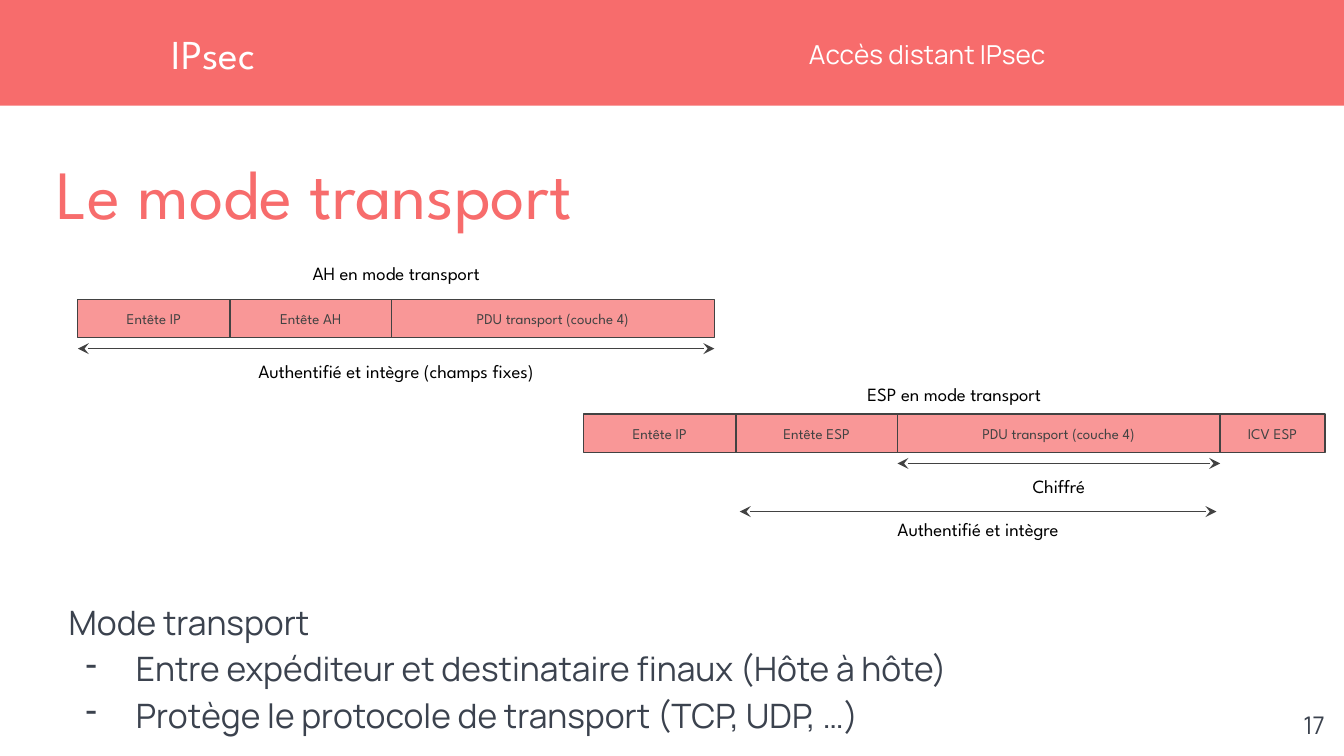
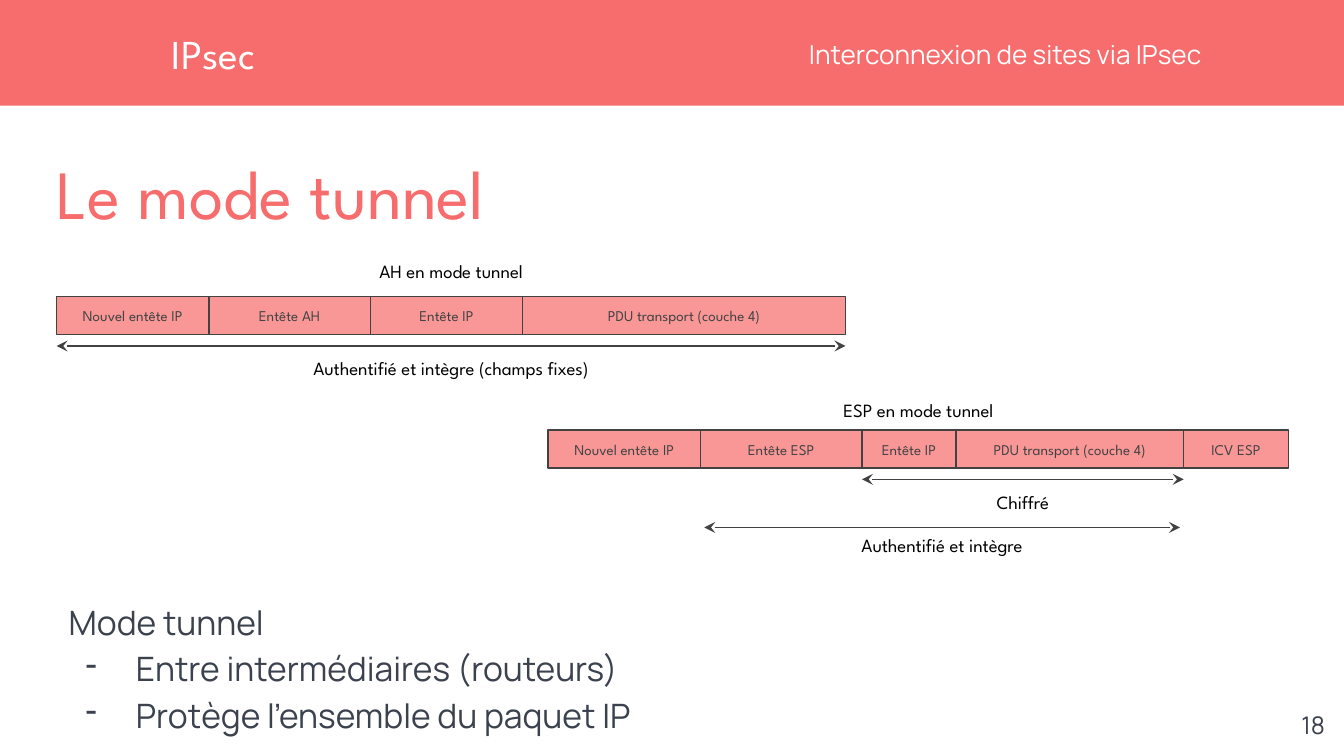
from dataclasses import dataclass
from itertools import accumulate

from lxml.etree import SubElement
from pptx import Presentation
from pptx.dml.color import RGBColor
from pptx.enum.shapes import MSO_CONNECTOR as Connector, MSO_SHAPE as Shape
from pptx.enum.text import MSO_ANCHOR as Anchor, MSO_AUTO_SIZE as AutoSize, PP_ALIGN as Align
from pptx.oxml.ns import qn
from pptx.shapes.group import GroupShape
from pptx.slide import Slide
from pptx.text.text import TextFrame
from pptx.util import Cm, Pt


@dataclass(frozen=True)
class TextStyle:
    font: str
    size: float
    color: str
    align: Align = Align.LEFT


@dataclass(frozen=True)
class Theme:
    coral: str = "F76C6C"
    block_fill: str = "F99797"
    outline: str = "424242"
    line_width: float = 0.75
    section: TextStyle = TextStyle("League Spartan", 22, "FFFFFF")
    topic: TextStyle = TextStyle("Manrope", 14, "FFFFFF")
    title: TextStyle = TextStyle("League Spartan", 37, "F76C6C")
    body: TextStyle = TextStyle("Manrope", 18, "3B424E")
    number: TextStyle = TextStyle("Manrope", 13, "3B424E", Align.RIGHT)
    block: TextStyle = TextStyle("League Spartan", 8, "424242", Align.CENTER)
    caption: TextStyle = TextStyle("League Spartan", 10, "000000", Align.CENTER)


THEME = Theme()
PADDING = 0.25
BLOCK_HEIGHT = 0.72
CAPTION_HEIGHT = 0.94


@dataclass(frozen=True)
class Block:
    label: str
    width: float


@dataclass(frozen=True)
class Coverage:
    """Double arrow under blocks first to last; drops count from the packet top."""
    caption: str
    first: int
    last: int
    arrow_drop: float = 0.93
    caption_drop: float = 0.93
    inset: float = 0


@dataclass(frozen=True)
class Packet:
    heading: str
    left: float
    top: float
    heading_rise: float
    blocks: tuple[Block, ...]
    coverages: tuple[Coverage, ...]


@dataclass(frozen=True)
class ModePage:
    number: int
    topic: str
    title: str
    lead: str
    points: tuple[str, ...]
    packets: tuple[Packet, ...]


IP = Block("Entête IP", 2.88)
INNER_IP = Block("Entête IP", 1.78)
NEW_IP = Block("Nouvel entête IP", 2.88)
AH = Block("Entête AH", 3.05)
ESP = Block("Entête ESP", 3.05)
PDU = Block("PDU transport (couche 4)", 6.1)
INNER_PDU = Block("PDU transport (couche 4)", 4.3)
ICV = Block("ICV ESP", 1.98)


def ah_packet(mode: str, left: float, top: float, *blocks: Block) -> Packet:
    whole = Coverage("Authentifié et intègre (champs fixes)", 0, len(blocks) - 1)
    return Packet(f"AH en mode {mode}", left, top, 0.92, blocks, (whole,))


def esp_packet(mode: str, left: float, top: float, *blocks: Block) -> Packet:
    payload_end = len(blocks) - 2
    coverages = (
        Coverage("Chiffré", 2, payload_end),
        Coverage("Authentifié et intègre", 1, payload_end, 1.84, 1.75, 0.07),
    )
    return Packet(f"ESP en mode {mode}", left, top, 0.81, blocks, coverages)


PAGES = (
    ModePage(
        17, "Accès distant IPsec", "Le mode transport", "Mode transport",
        ("Entre expéditeur et destinataire finaux (Hôte à hôte)",
         "Protège le protocole de transport (TCP, UDP, …)"),
        (ah_packet("transport", 1.47, 5.66, IP, AH, PDU),
         esp_packet("transport", 11.03, 7.83, IP, ESP, PDU, ICV)),
    ),
    ModePage(
        18, "Interconnexion de sites via IPsec", "Le mode tunnel", "Mode tunnel",
        ("Entre intermédiaires (routeurs)", "Protège l'ensemble du paquet IP"),
        (ah_packet("tunnel", 1.07, 5.61, NEW_IP, AH, IP, PDU),
         esp_packet("tunnel", 10.36, 8.13, NEW_IP, ESP, INNER_IP, INNER_PDU, ICV)),
    ),
)


def rgb(color: str) -> RGBColor:
    return RGBColor.from_string(color)


def write(frame: TextFrame, lines: tuple[str, ...], style: TextStyle,
          anchor: Anchor = Anchor.TOP, padding: float = 0) -> None:
    frame.word_wrap = True
    frame.auto_size = AutoSize.NONE
    frame.vertical_anchor = anchor
    frame.margin_left = frame.margin_right = Cm(padding)
    frame.margin_top = frame.margin_bottom = Cm(padding)
    for index, line in enumerate(lines):
        para = frame.add_paragraph() if index else frame.paragraphs[0]
        para.text = line
        para.alignment = style.align
        para.font.name = style.font
        para.font.size = Pt(style.size)
        para.font.color.rgb = rgb(style.color)


def add_text(parent: Slide | GroupShape, left: float, top: float, width: float,
             height: float, lines: tuple[str, ...], style: TextStyle,
             anchor: Anchor = Anchor.TOP, padding: float = 0) -> TextFrame:
    box = parent.shapes.add_textbox(Cm(left), Cm(top), Cm(width), Cm(height))
    write(box.text_frame, lines, style, anchor, padding)
    return box.text_frame


def add_caption(group: GroupShape, text: str, left: float, top: float, width: float) -> None:
    frame = add_text(group, left, top, width, CAPTION_HEIGHT, (text,), THEME.caption,
                     padding=PADDING)
    frame.auto_size = AutoSize.SHAPE_TO_FIT_TEXT


def add_double_arrow(group: GroupShape, start: float, end: float, y: float) -> None:
    arrow = group.shapes.add_connector(Connector.STRAIGHT, Cm(start), Cm(y), Cm(end), Cm(y))
    arrow.line.color.rgb = rgb(THEME.outline)
    arrow.line.width = Pt(THEME.line_width)
    line = arrow.line._get_or_add_ln()
    for tag in ("a:headEnd", "a:tailEnd"):
        SubElement(line, qn(tag), type="stealth", w="med", len="med")
    SubElement(arrow._element.spPr, qn("a:effectLst"))


def add_block(group: GroupShape, block: Block, left: float, top: float) -> None:
    box = group.shapes.add_shape(Shape.RECTANGLE, Cm(left), Cm(top),
                                 Cm(block.width), Cm(BLOCK_HEIGHT))
    box.shadow.inherit = False
    box.fill.solid()
    box.fill.fore_color.rgb = rgb(THEME.block_fill)
    box.line.color.rgb = rgb(THEME.outline)
    box.line.width = Pt(THEME.line_width)
    write(box.text_frame, (block.label,), THEME.block, Anchor.MIDDLE, PADDING)


def add_packet(page: Slide, packet: Packet) -> None:
    group = page.shapes.add_group_shape()
    widths = (block.width for block in packet.blocks)
    edges = list(accumulate(widths, initial=packet.left))
    for block, left in zip(packet.blocks, edges):
        add_block(group, block, left, packet.top)
    add_caption(group, packet.heading, packet.left, packet.top - packet.heading_rise,
                edges[-1] - packet.left)
    for coverage in packet.coverages:
        start, end = edges[coverage.first], edges[coverage.last + 1]
        add_double_arrow(group, start + coverage.inset, end - coverage.inset,
                         packet.top + coverage.arrow_drop)
        add_caption(group, coverage.caption, start, packet.top + coverage.caption_drop,
                    end - start)


def add_band(page: Slide, topic: str) -> None:
    band = page.shapes.add_shape(Shape.RECTANGLE, Cm(-0.05), Cm(0), Cm(25.5), Cm(2))
    band.shadow.inherit = False
    band.fill.solid()
    band.fill.fore_color.rgb = rgb(THEME.coral)
    band.line.fill.background()
    add_text(page, 15.29, 0.53, 9.75, 1, (topic,), THEME.topic, Anchor.MIDDLE)
    add_text(page, 3.25, 0, 11.9, 2, ("IPsec",), THEME.section, Anchor.MIDDLE)


def place_title(page: Slide, text: str) -> None:
    title = page.shapes.title
    title.left, title.top, title.width, title.height = Cm(1.07), Cm(2.84), Cm(23.5), Cm(1.47)
    write(title.text_frame, (text,), THEME.title)


def add_body(page: Slide, lead: str, points: tuple[str, ...]) -> None:
    frame = add_text(page, 1.3, 11.33, 23.1, 2.5, (lead, *points), THEME.body, Anchor.MIDDLE)
    for para in frame.paragraphs:
        para.line_spacing = 1.15
    for para in frame.paragraphs[1:]:
        properties = para._p.get_or_add_pPr()
        properties.set("marL", str(Cm(1.27)))
        properties.set("indent", str(Cm(-0.95)))
        bullet_color = SubElement(properties, qn("a:buClr"))
        SubElement(bullet_color, qn("a:srgbClr"), val=THEME.body.color)
        SubElement(properties, qn("a:buChar"), char="-")
        # The schema wants the default run properties after the bullet.
        properties.append(properties.find(qn("a:defRPr")))


def add_mode_page(deck: Presentation, content: ModePage) -> None:
    page = deck.slides.add_slide(deck.slide_layouts.get_by_name("Title Only"))
    add_band(page, content.topic)
    place_title(page, content.title)
    add_body(page, content.lead, content.points)
    add_text(page, 23.77, 13.18, 1.52, 1.09, (str(content.number),), THEME.number,
             padding=PADDING)
    for packet in content.packets:
        add_packet(page, packet)


def main() -> None:
    deck = Presentation()
    deck.slide_width, deck.slide_height = Cm(25.4), Cm(14.29)
    for content in PAGES:
        add_mode_page(deck, content)
    deck.save("out.pptx")


if __name__ == "__main__":
    main()
